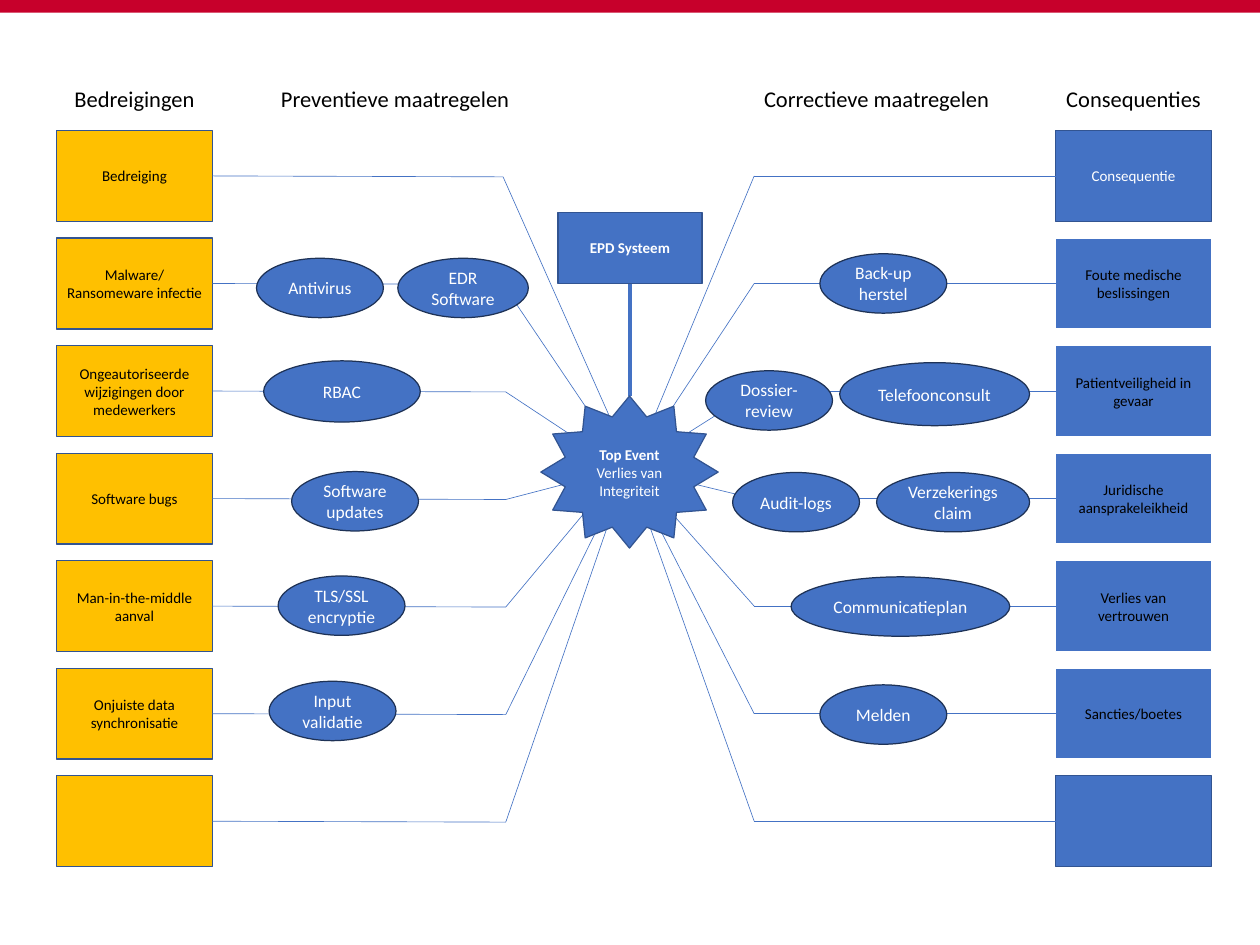
from dataclasses import dataclass
from pptx import Presentation
from pptx.dml.color import RGBColor
from pptx.enum.shapes import MSO_CONNECTOR as Connector, MSO_SHAPE as Shape
from pptx.enum.text import MSO_ANCHOR as Anchor, MSO_AUTO_SIZE as AutoSize, PP_ALIGN as Align
from pptx.oxml import parse_xml
from pptx.util import Inches, Pt


@dataclass(frozen=True)
class Theme:
    font: str = "Calibri"
    red: str = "C7002B"
    blue: str = "4472C4"
    amber: str = "FFC000"
    edge: str = "325491"
    navy: str = "1E3256"
    white: str = "FFFFFF"
    black: str = "000000"
    heading: int = 18
    measure: int = 14
    label: int = 12
    outline: float = 1
    thin: float = 0.5
    thick: float = 4


theme = Theme()
deck = Presentation()
deck.slide_width, deck.slide_height = Inches(14), Inches(10.5)
page = deck.slides.add_slide(deck.slide_layouts[6])


def add_box(kind, place, fill, edge, lines=(), size=theme.label, color=theme.white):
    place = [Inches(value) for value in place]
    if kind is None:
        box = page.shapes.add_textbox(*place)
    else:
        box = page.shapes.add_shape(kind, *place)
        box.shadow.inherit = False
        box.fill.solid()
        box.fill.fore_color.rgb = RGBColor.from_string(fill)
        if edge:
            box.line.color.rgb = RGBColor.from_string(edge)
            box.line.width = Pt(theme.outline)
        else:
            box.line.fill.background()
        box.text_frame.vertical_anchor = Anchor.MIDDLE
    frame = box.text_frame
    frame.word_wrap = True
    for index, (words, bold) in enumerate(lines):
        para = frame.add_paragraph() if index else frame.paragraphs[0]
        para.alignment = Align.CENTER
        span = para.add_run()
        span.text = words
        span.font.name, span.font.size, span.font.bold = theme.font, Pt(size), bold
        span.font.color.rgb = RGBColor.from_string(color)
    return box


def add_line(start, end, width=theme.thin):
    line = page.shapes.add_connector(Connector.STRAIGHT, *[Inches(value) for value in (*start, *end)])
    line.line.color.rgb = RGBColor.from_string(theme.blue)
    line.line.width = Pt(width)
    line._element.spPr.append(
        parse_xml('<a:effectLst xmlns:a="http://schemas.openxmlformats.org/drawingml/2006/main"/>')
    )
    return line


add_box(Shape.RECTANGLE, (0, 0, 14, 0.14), theme.red, None)
system = add_box(Shape.RECTANGLE, (6.2, 2.36, 1.6, 0.79), theme.blue, theme.edge, [("EPD Systeem", True)])
stem = add_line((7, 3.15), (7, 4.4), theme.thick)
stem.begin_connect(system, 2)

threats = [
    ("Bedreiging", 5.59, (7, 5.14)),
    ("Malware/Ransomeware infectie", 5.59, (7.04, 5.31)),
    ("Ongeautoriseerde wijzigingen door medewerkers", 5.62, (6.96, 5.24)),
    ("Software bugs", 5.62, (7.04, 5.18)),
    ("Man-in-the-middle aanval", 5.62, (6.96, 5.14)),
    ("Onjuiste data synchronisatie", 5.62, (6.98, 5.18)),
    ("", 5.62, (6.98, 5.18)),
]
consequences = [
    ("Consequentie", theme.edge, theme.white, (7.04, 5.18)),
    ("Foute medische beslissingen", theme.white, theme.black, (7.04, 5.18)),
    ("Patientveiligheid in gevaar", theme.white, theme.black, (7.06, 5.18)),
    ("Juridische aansprakeleikheid", theme.white, theme.black, (7.06, 5.22)),
    ("Verlies van vertrouwen", theme.white, theme.black, (7, 5.18)),
    ("Sancties/boetes", theme.white, theme.black, (6.98, 5.19)),
    ("", theme.edge, theme.white, (7, 5.23)),
]
row_top, row_step = 1.45, 1.195
box_width, box_height = 1.73, 1.01
threat_left, consequence_left, right_bend = 0.63, 11.73, 8.38

for row, (threat, consequence) in enumerate(zip(threats, consequences)):
    top = row_top + row * row_step
    middle = top + box_height / 2
    words, left_bend, left_target = threat
    threat_box = add_box(Shape.RECTANGLE, (threat_left, top, box_width, box_height), theme.amber, theme.edge,
                         [(words, False)] if words else [], color=theme.black)
    words, edge, color, right_target = consequence
    consequence_box = add_box(Shape.RECTANGLE, (consequence_left, top, box_width, box_height), theme.blue, edge,
                              [(words, False)] if words else [], color=color)
    branch = add_line((threat_left + box_width, middle), (left_bend, middle + 0.01))
    branch.begin_connect(threat_box, 3)
    add_line((left_bend, middle + 0.01), left_target)
    branch = add_line((right_bend, middle), (consequence_left, middle))
    branch.end_connect(consequence_box, 1)
    add_line((right_bend, middle), right_target)

add_box(Shape.STAR_12_POINT, (6.01, 4.4, 1.97, 1.69), theme.blue, theme.edge,
        [("Top Event", True), ("Verlies van Integriteit", False)])

headings = [
    ("Bedreigingen", 0.26, 2.47),
    ("Preventieve maatregelen", 2.77, 3.24),
    ("Correctieve maatregelen", 8.12, 3.24),
    ("Consequenties", 11.36, 2.47),
]
for words, left, width in headings:
    heading = add_box(None, (left, 0.89, width, 0.4), None, None, [(words, False)], theme.heading, theme.black)
    heading.text_frame.auto_size = AutoSize.SHAPE_TO_FIT_TEXT

measures = [
    ("Antivirus", 2.85, 2.87, 1.41, 0.66),
    ("EDR Software", 4.42, 2.87, 1.45, 0.66),
    ("RBAC", 2.93, 4.01, 1.74, 0.68),
    ("Software updates", 3.24, 5.24, 1.41, 0.66),
    ("TLS/SSL encryptie", 3.09, 6.4, 1.41, 0.66),
    ("Input validatie", 2.99, 7.57, 1.41, 0.66),
    ("Back-up herstel", 9.11, 2.82, 1.41, 0.66),
    ("Dossier-review", 7.84, 4.12, 1.41, 0.66),
    ("Telefoonconsult", 9.33, 4.03, 2.11, 0.7),
    ("Audit-logs", 8.14, 5.25, 1.41, 0.66),
    ("Verzekerings claim", 9.74, 5.25, 1.7, 0.66),
    ("Communicatieplan", 8.79, 6.41, 2.43, 0.66),
    ("Melden", 9.11, 7.61, 1.41, 0.66),
]
for words, *place in measures:
    add_box(Shape.OVAL, place, theme.blue, theme.navy, [(words, False)], theme.measure)

deck.save("out.pptx")
